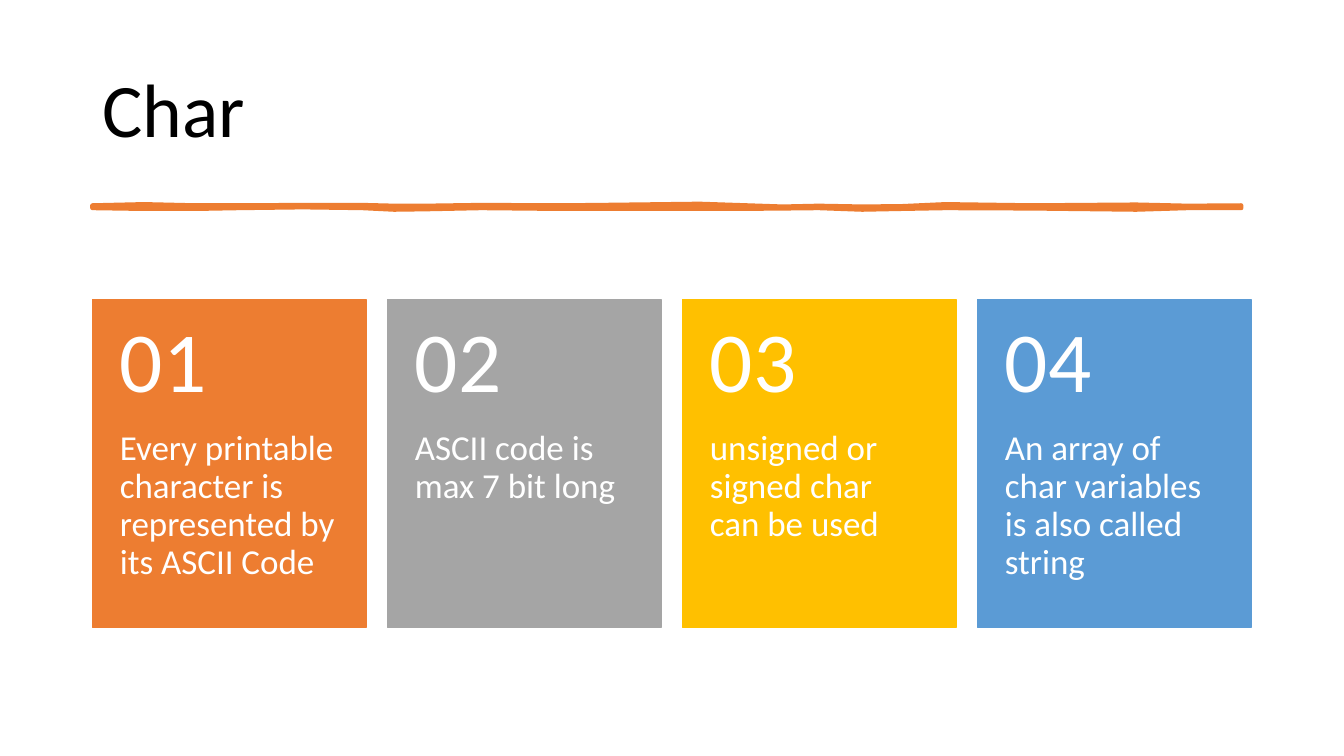
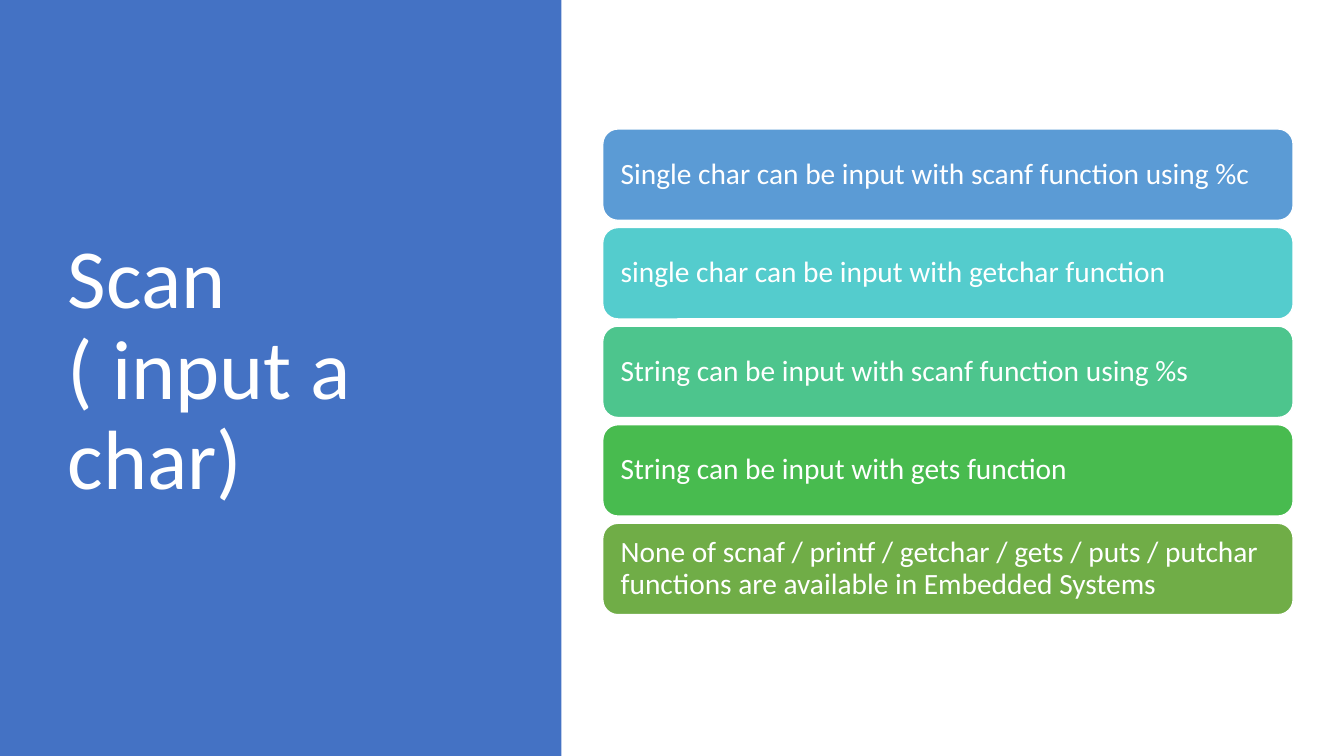
"""Build two slides about char input in C."""
from lxml import etree
from pptx import Presentation
from pptx.dml.color import RGBColor
from pptx.enum.shapes import MSO_SHAPE
from pptx.enum.text import MSO_ANCHOR, MSO_AUTO_SIZE, PP_ALIGN
from pptx.oxml.ns import qn
from pptx.util import Cm, Pt

RECT = MSO_SHAPE.RECTANGLE
ROUND = MSO_SHAPE.ROUNDED_RECTANGLE
TOP, MID = MSO_ANCHOR.TOP, MSO_ANCHOR.MIDDLE
LEFT = PP_ALIGN.LEFT
FIXED = MSO_AUTO_SIZE.NONE

INK = {
    "black": "000000", "white": "FFFFFF", "navy": "4472C4",
    "orange": "ED7D31", "gray": "A5A5A5", "gold": "FFC000", "blue": "5B9BD5",
    "aqua": "54CCCD", "mint": "4DC58D", "green": "48BB4F", "moss": "70AD47",
}
FONT = "Calibri"
CARDS = [
    ("orange", "Every printable character is represented by its ASCII Code"),
    ("gray", "ASCII code is max 7 bit long"),
    ("gold", "unsigned or signed char can be used"),
    ("blue", "An array of char variables is also called string"),
]
BARS = [
    ("blue", "Single char can be input with scanf function using %c"),
    ("aqua", "single char can be input with getchar function"),
    ("mint", "String can be input with scanf function using %s"),
    ("green", "String can be input with gets function"),
    ("moss", "None of scnaf / printf / getchar / gets / puts / putchar "
             "functions are available in Embedded Systems"),
]
WAVE = [
    (0, -0.03, 0.03), (1.3, -0.06, 0.05), (2.6, -0.03, 0.05),
    (3.7, -0.03, 0.03), (5.3, -0.04, 0.01), (6.8, -0.04, 0.03),
    (7.6, -0.02, 0.07), (8.4, -0.02, 0.06), (9.8, -0.04, 0.03),
    (11.8, -0.03, 0.05), (12.8, -0.04, 0.05), (15.3, -0.07, 0.05),
    (16.2, -0.04, 0.05), (17.4, 0, 0.04), (18.3, -0.02, 0.03),
    (19.4, 0, 0.07), (20.4, -0.01, 0.05), (21.5, -0.06, 0.03),
    (23.7, -0.03, 0.04), (26.3, -0.05, 0.07), (27.6, -0.02, 0.03),
    (28.95, -0.03, 0.03),
]


def tint(name):
    """Return the named colour."""
    return RGBColor.from_string(INK[name])


def apply(item, looks):
    """Set each attribute in looks on the item."""
    for key, value in looks.items():
        setattr(item, key, value)


def write(frame, text, size, ink="white", anchor=MID, pads=None):
    """Fill a text frame with one formatted paragraph."""
    apply(frame, {"text": text, "word_wrap": True, "auto_size": FIXED,
                  "vertical_anchor": anchor})
    sides = ("left", "top", "right", "bottom")
    for side, pad in zip(sides, pads or ()):
        setattr(frame, f"margin_{side}", Cm(pad))
    para = frame.paragraphs[0]
    apply(para, {"alignment": LEFT, "line_spacing": 0.9})
    font = para.runs[0].font
    apply(font, {"name": FONT, "size": Pt(size)})
    font.color.rgb = tint(ink)


def paint(shape, fill, edge=None, width=1):
    """Give a shape its fill and edge without a shadow."""
    shape.shadow.inherit = False
    shape.fill.solid()
    shape.fill.fore_color.rgb = tint(fill)
    if edge:
        shape.line.color.rgb = tint(edge)
        shape.line.width = Pt(width)
    else:
        shape.line.fill.background()


def block(slide, kind, box, fill, edge=None):
    """Add a painted preset shape in the box."""
    shape = slide.shapes.add_shape(kind, *map(Cm, box))
    paint(shape, fill, edge)
    return shape


def head(slide, box, text, size, ink):
    """Place and format the title."""
    title = slide.shapes.title
    spots = ("left", "top", "width", "height")
    apply(title, dict(zip(spots, map(Cm, box))))
    write(title.text_frame, text, size, ink)


def stroke(slide, left, mid, ink):
    """Draw a hand-drawn rule from its upper and lower edges."""
    upper = [(Cm(left + x), Cm(mid + up)) for x, up, _ in WAVE]
    lower = [(Cm(left + x), Cm(mid + low)) for x, _, low in WAVE]
    pen = slide.shapes.build_freeform(*upper[0])
    pen.add_line_segments(upper[1:] + lower[::-1], close=True)
    rule = pen.convert_to_shape()
    paint(rule, ink, ink, 3.25)
    etree.SubElement(rule.element.spPr.find(qn("a:ln")), qn("a:round"))


def card(slide, box, num, fill, text):
    """Draw one numbered card in the box."""
    left, top, width, height = box
    cap = height * 0.4
    tile = block(slide, RECT, box, fill, fill)
    write(tile.text_frame, text, 25, anchor=TOP, pads=(0.69, cap, 0.69, 0.91))
    label = slide.shapes.add_textbox(*map(Cm, (left, top, width, cap)))
    write(label.text_frame, f"{num:02}", 61, pads=(0.69, 0.46, 0.69, 0.46))


def deck(slide, box, gap):
    """Share the box among the cards, left to right."""
    left, top, width, height = box
    count = len(CARDS)
    wide = (width - gap * (count - 1)) / count
    for num, (fill, text) in enumerate(CARDS):
        spot = (left + num * (wide + gap), top, wide, height)
        card(slide, spot, num + 1, fill, text)


def stack(slide, box, gap):
    """Share the box among the bars, top to bottom."""
    left, top, width, height = box
    count = len(BARS)
    tall = (height - gap * (count - 1)) / count
    for num, (fill, text) in enumerate(BARS):
        spot = (left, top + num * (tall + gap), width, tall)
        bar = block(slide, ROUND, spot, fill, "white")
        write(bar.text_frame, text, 21, pads=(0.34, 0.34, 0.34, 0.34))


def chars(slide):
    """Build the slide of numbered cards."""
    head(slide, (2.33, 1.01, 29.21, 3.68), "Char", 54, "black")
    stroke(slide, 2.33, 5.21, "orange")
    deck(slide, (2.33, 7.55, 29.2, 8.26), 0.54)


def scans(slide):
    """Build the slide of bars beside a title panel."""
    panel = block(slide, RECT, (0, 0, 14.15, 19.05), "navy")
    slide.shapes.title.element.addprevious(panel.element)
    head(slide, (1.45, 1.73, 10.57, 15.29), "Scan ( input a char)", 60, "white")
    stack(slide, (15.19, 3.25, 17.4, 12.24), 0.18)


def main():
    """Build and save the slides."""
    prs = Presentation()
    apply(prs, {"slide_width": Cm(33.87), "slide_height": Cm(19.05)})
    for build in (chars, scans):
        build(prs.slides.add_slide(prs.slide_layouts[5]))
    prs.save("out.pptx")


if __name__ == "__main__":
    main()
